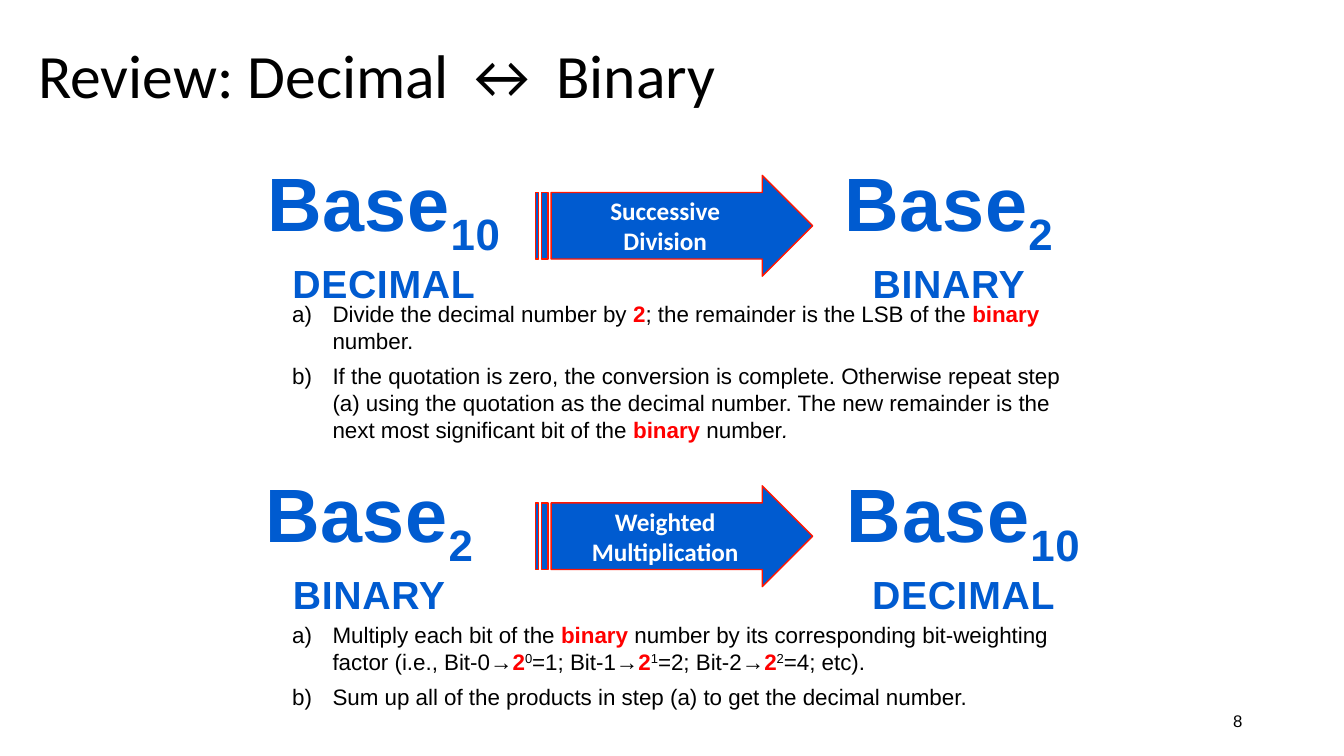
from dataclasses import dataclass

from lxml import etree
from pptx import Presentation
from pptx.dml.color import RGBColor
from pptx.enum.shapes import MSO_SHAPE
from pptx.enum.text import MSO_ANCHOR as ANCHOR, MSO_AUTO_SIZE as AUTO_SIZE, PP_ALIGN as ALIGN
from pptx.oxml.ns import qn
from pptx.util import Inches, Pt


@dataclass(frozen=True)
class Theme:
    blue: RGBColor = RGBColor(0x00, 0x5B, 0xD0)
    outline: RGBColor = RGBColor(0xFF, 0x17, 0x01)
    red: RGBColor = RGBColor(0xFF, 0x00, 0x00)
    black: RGBColor = RGBColor(0x00, 0x00, 0x00)
    white: RGBColor = RGBColor(0xFF, 0xFF, 0xFF)
    heading_font: str = "Calibri"
    body_font: str = "Arial"
    title: Pt = Pt(44)
    base: Pt = Pt(54)
    base_name: Pt = Pt(28)
    arrow: Pt = Pt(18)
    step: Pt = Pt(16)
    number: Pt = Pt(12)


theme = Theme()


def add_text_box(left, top, width, height, anchor=ANCHOR.TOP):
    box = slide.shapes.add_textbox(Inches(left), Inches(top), Inches(width), Inches(height))
    box.text_frame.word_wrap = True
    box.text_frame.vertical_anchor = anchor
    return box.text_frame


def set_font(paragraph, name, size, color, bold=False):
    font = paragraph.font
    font.name, font.size, font.bold = name, size, bold
    font.color.rgb = color


presentation = Presentation()
presentation.slide_width, presentation.slide_height = Inches(13.33), Inches(7.5)
slide = presentation.slides.add_slide(presentation.slide_layouts[6])

# Title
title = add_text_box(0.28, 0.05, 11.5, 1.45, ANCHOR.MIDDLE).paragraphs[0]
title.text = "Review: Decimal ↔ Binary"
title.line_spacing = 0.9
set_font(title, theme.heading_font, theme.title, theme.black)

# Each conversion: top, (source, target), arrow label, steps top, width, height, steps
# Each step is a list of (text, style) pieces
BASE_WIDTHS = {"10": 2.61, "2": 2.32}
DECIMAL, BINARY = ("10", "DECIMAL"), ("2", "BINARY")
conversions = [
    (1.5, (DECIMAL, BINARY), ("Successive", "Division"), 2.93, 8.3, 1.52, [
        [("Divide the decimal number by ", ""), ("2", "key"),
         ("; the remainder is the LSB of the ", ""), ("binary", "key"), (" number.", "")],
        [("If the quotation is zero, the conversion is complete. Otherwise repeat step (a) "
          "using the quotation as the decimal number. The new remainder is the next most "
          "significant bit of the ", ""),
         ("binary ", "key"), ("number", ""), (".", "italic")],
    ]),
    (4.58, (BINARY, DECIMAL), ("Weighted", "Multiplication"), 6.11, 8.2, 0.99, [
        [("Multiply each bit of the ", ""), ("binary", "key"),
         (" number by its corresponding bit-weighting factor (i.e., Bit-0→", ""),
         ("2", "key"), ("0", "super"), ("=1; Bit-1→", ""),
         ("2", "key"), ("1", "super"), ("=2; Bit-2→", ""),
         ("2", "key"), ("2", "super"), ("=4; etc).", "")],
        [("Sum up all of the products in step (a) to get the decimal number.", "")],
    ]),
]

for top, bases, arrow_lines, steps_top, steps_width, steps_height, steps in conversions:
    # Number bases on both sides of the arrow
    for left, (subscript, base_name) in zip((2.5, 8.25), bases):
        frame = add_text_box(left, top, BASE_WIDTHS[subscript], 1.48)
        frame.word_wrap = False
        frame.auto_size = AUTO_SIZE.SHAPE_TO_FIT_TEXT
        lines = [(theme.base, [("Base", 0), (subscript, -25)]),
                 (theme.base_name, [(base_name, 0)])]
        for index, (size, pieces) in enumerate(lines):
            paragraph = frame.add_paragraph() if index else frame.paragraphs[0]
            paragraph.alignment = ALIGN.CENTER
            set_font(paragraph, theme.body_font, size, theme.blue, bold=True)
            for text, baseline in pieces:
                run = paragraph.add_run()
                run.text = text
                properties = run.font._element
                properties.set("spc", "50")
                properties.set("baseline", str(baseline * 1000))
                # Thin letter outline, followed by the letter fill
                line = etree.SubElement(properties, qn("a:ln"), w=str(Pt(0.9)))
                fill = etree.SubElement(line, qn("a:solidFill"))
                etree.SubElement(fill, qn("a:srgbClr"), val=str(theme.outline))
                run.font.color.rgb = theme.blue

    # Striped arrow
    arrow = slide.shapes.add_shape(MSO_SHAPE.STRIPED_RIGHT_ARROW, Inches(5.31),
                                   Inches(top + 0.24), Inches(2.75), Inches(1))
    arrow.adjustments[0], arrow.adjustments[1] = 0.66, 0.5
    arrow.shadow.inherit = False
    arrow.fill.solid()
    arrow.fill.fore_color.rgb = theme.blue
    arrow.line.color.rgb = theme.outline
    arrow.line.width = Pt(1)
    arrow.text_frame.vertical_anchor = ANCHOR.MIDDLE
    arrow.text_frame.text = "\n".join(arrow_lines)
    for paragraph in arrow.text_frame.paragraphs:
        paragraph.alignment = ALIGN.CENTER
        set_font(paragraph, theme.heading_font, theme.arrow, theme.white, bold=True)

    # Lettered steps
    frame = add_text_box(2.5, steps_top, steps_width, steps_height)
    frame.auto_size = AUTO_SIZE.SHAPE_TO_FIT_TEXT
    for index, pieces in enumerate(steps):
        paragraph = frame.add_paragraph() if index else frame.paragraphs[0]
        paragraph.level = 1
        paragraph.space_after = Pt(6)
        properties = paragraph._p.get_or_add_pPr()
        properties.set("marL", str(Inches(0.7)))
        properties.set("indent", str(Inches(-0.4)))
        etree.SubElement(properties, qn("a:buAutoNum"), type="alphaLcParenR")
        set_font(paragraph, theme.body_font, theme.step, theme.black)
        for text, style in pieces:
            run = paragraph.add_run()
            run.text = text
            if style == "key":
                run.font.bold = True
                run.font.color.rgb = theme.red
            elif style == "super":
                run.font._element.set("baseline", "30000")
            elif style == "italic":
                run.font.italic = True

# Slide number
number = add_text_box(9.42, 6.95, 3, 0.4, ANCHOR.MIDDLE).paragraphs[0]
number.text = "8"
number.alignment = ALIGN.RIGHT
set_font(number, theme.body_font, theme.number, theme.black)

presentation.save("out.pptx")
